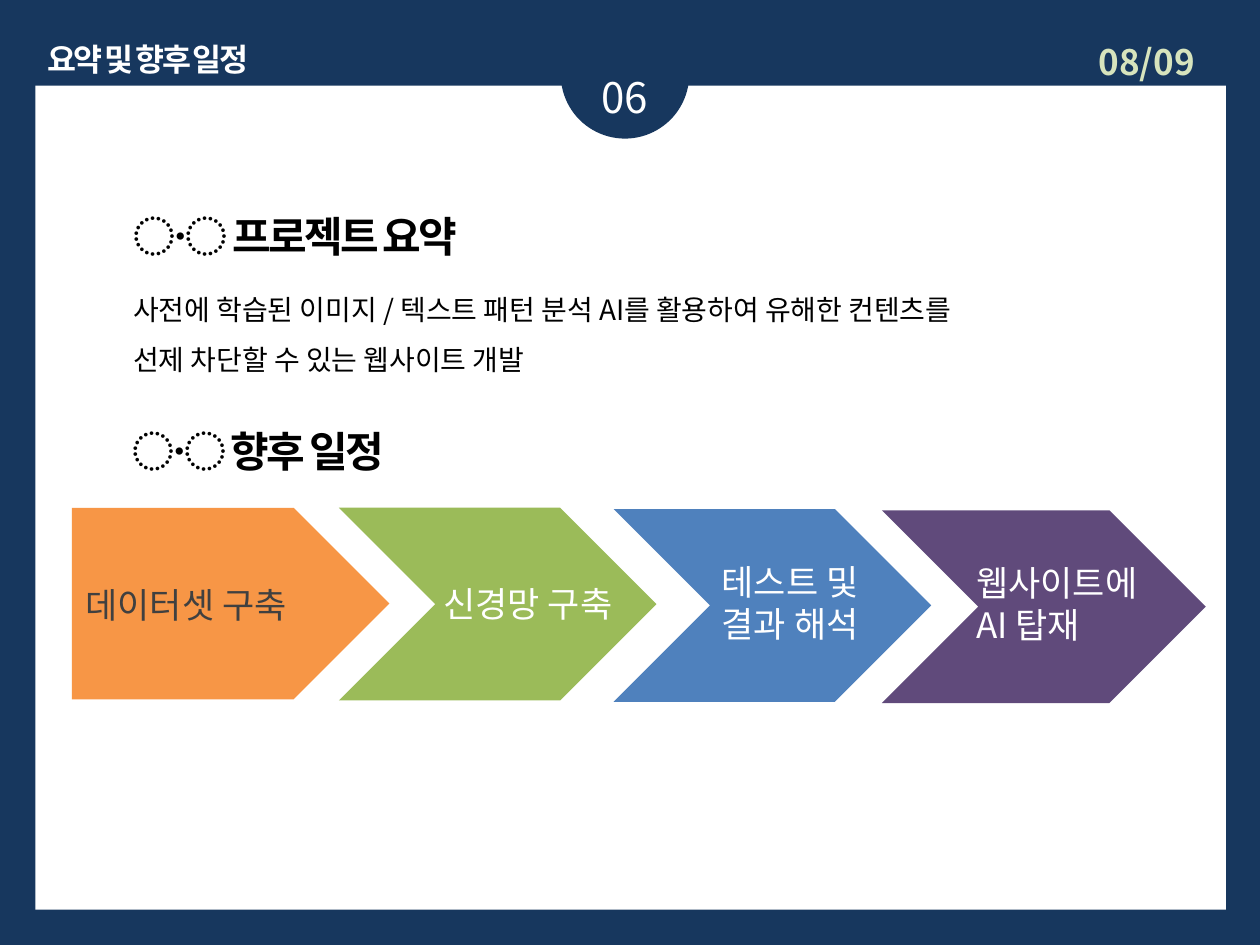
"""Build the project summary and future schedule slide."""
from lxml import etree
from pptx import Presentation
from pptx.dml.color import RGBColor
from pptx.enum.shapes import MSO_SHAPE as SHAPE
from pptx.enum.text import PP_ALIGN as ALIGN, MSO_AUTO_SIZE as AUTO
from pptx.oxml.ns import qn
from pptx.util import Inches, Pt

FONT = "Noto Sans CJK KR"
NAVY = RGBColor(0x17, 0x37, 0x5E)
WHITE = RGBColor(0xFF, 0xFF, 0xFF)
BLACK = RGBColor(0x00, 0x00, 0x00)
GRAY = RGBColor(0x40, 0x40, 0x40)
PALE_GREEN = RGBColor(0xD7, 0xE4, 0xBD)
ORANGE = RGBColor(0xF7, 0x96, 0x46)
GREEN = RGBColor(0x9B, 0xBB, 0x59)
BLUE = RGBColor(0x4F, 0x81, 0xBD)
PURPLE = RGBColor(0x60, 0x4A, 0x7B)

prs = Presentation()
prs.slide_width, prs.slide_height = Inches(10), Inches(7.5)
s = prs.slides.add_slide(prs.slide_layouts[6])
s.background.fill.solid()
s.background.fill.fore_color.rgb = NAVY


def add_block(kind, box, color):
    sp = s.shapes.add_shape(kind, *map(Inches, box))
    sp.shadow.inherit = False
    sp.fill.solid()
    sp.fill.fore_color.rgb = color
    sp.line.fill.background()


def add_text(text, box, size, color, bold=False, tight=False,
             align=None, spacing=None, wrap=True):
    tf = s.shapes.add_textbox(*map(Inches, box)).text_frame
    tf.word_wrap = wrap
    tf.auto_size = AUTO.SHAPE_TO_FIT_TEXT
    tf.text = text
    for p in tf.paragraphs:
        p.alignment = align
        p.line_spacing = spacing
        for r in p.runs:
            r.font.size = Pt(size)
            r.font.bold = bold
            r.font.color.rgb = color
            r.font.name = FONT
            rPr = r.font._element
            etree.SubElement(rPr, qn("a:ea")).set("typeface", FONT)
            if tight:
                rPr.set("spc", "-150")


add_block(SHAPE.RECTANGLE, (0.28, 0.68, 9.45, 6.54), WHITE)
add_block(SHAPE.OVAL, (4.45, 0.08, 1.02, 1.02), NAVY)
add_text("06", (4.37, 0.52, 1.18, 0.5), 24, WHITE, align=ALIGN.CENTER)
add_text("요약 및 향후 일정", (0.28, 0.27, 2.03, 0.4), 18, WHITE,
         bold=True, tight=True, wrap=False)
add_text("08/09", (8.62, 0.27, 1.1, 0.44), 20, PALE_GREEN, bold=True)

for title, left, top in [("〮 프로젝트 요약", 0.96, 1.62), ("〮 향후 일정", 0.95, 3.33)]:
    add_text(title, (left, top, 7.4, 0.5), 24, BLACK, bold=True, tight=True)
add_text("사전에 학습된 이미지 / 텍스트 패턴 분석 AI를 활용하여 유해한 컨텐츠를\n"
         "선제 차단할 수 있는 웹사이트 개발",
         (0.96, 2.14, 8.54, 0.86), 16, BLACK, spacing=1.5)

steps = [
    (SHAPE.CHEVRON, (4.87, 4.04, 2.52, 1.53), BLUE,
     "테스트 및\n결과 해석", (5.63, 4.4, 1.66, 0.77), WHITE),
    (SHAPE.CHEVRON, (2.69, 4.03, 2.52, 1.53), GREEN,
     "신경망 구축", (3.42, 4.57, 1.97, 0.44), WHITE),
    (SHAPE.PENTAGON, (0.57, 4.03, 2.52, 1.52), ORANGE,
     "데이터셋 구축", (0.58, 4.58, 2.26, 0.44), GRAY),
    (SHAPE.CHEVRON, (7, 4.05, 2.57, 1.53), PURPLE,
     "웹사이트에\nAI 탑재", (7.65, 4.41, 1.66, 0.77), WHITE),
]
for kind, box, fill, label, label_box, color in steps:
    add_block(kind, box, fill)
    add_text(label, label_box, 20, color)

prs.save("out.pptx")
